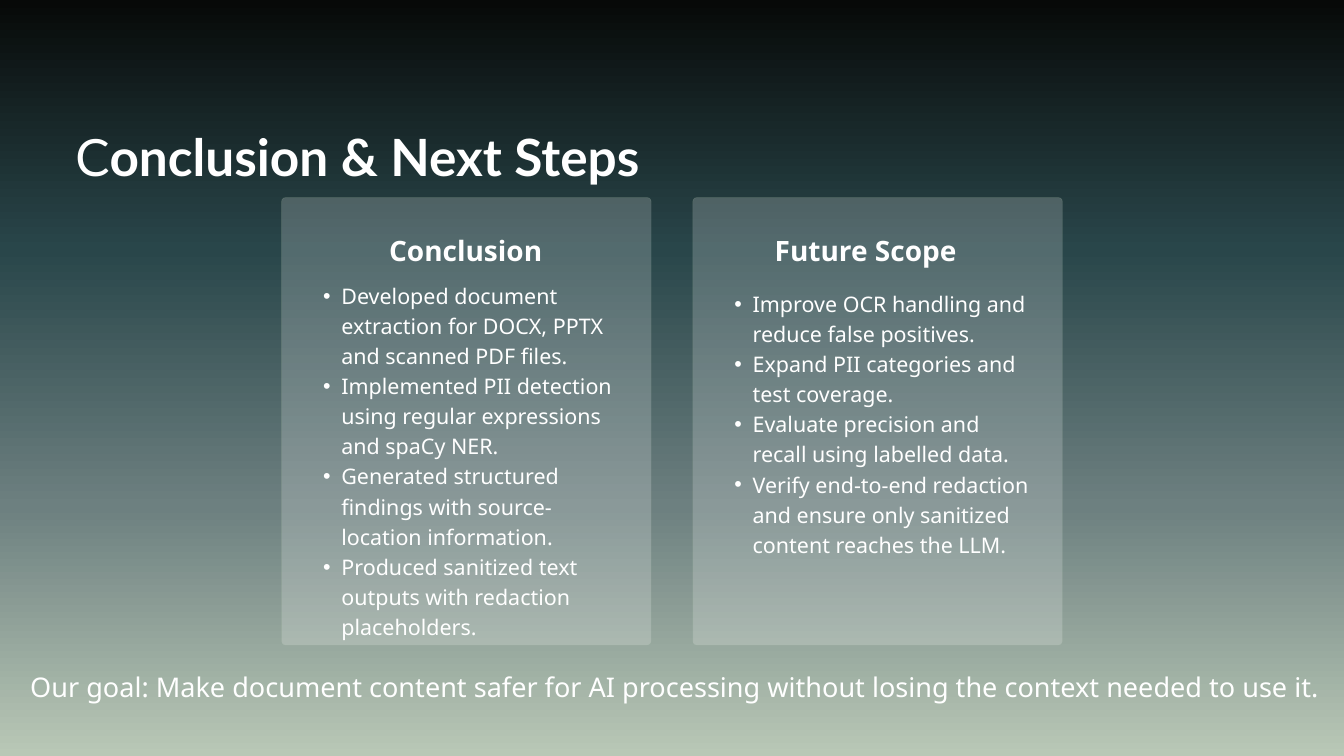
"""Build the closing slide: conclusion, future scope and goal."""
from lxml import etree
from pptx import Presentation
from pptx.dml.color import RGBColor
from pptx.enum.shapes import MSO_SHAPE
from pptx.enum.text import MSO_AUTO_SIZE, PP_ALIGN
from pptx.oxml.ns import qn
from pptx.util import Inches, Pt

ROUND = MSO_SHAPE.ROUNDED_RECTANGLE
GROW = MSO_AUTO_SIZE.SHAPE_TO_FIT_TEXT
LEFT, MID = PP_ALIGN.LEFT, PP_ALIGN.CENTER

HEX = {"text": "FFFFFF", "card": "FFFFFF", "edge": "9EB49F"}
FADE = [(0, "070908"), (33, "29464A"), (67, "6D8080"), (100, "B9C8B6")]
ALPHA = 20

TITLE = [("C", False), ("onclusion & Next Steps", True)]
GOAL = ("Our goal: Make document content safer for AI processing "
        "without losing the context needed to use it.")
CARDS = [
    {"head": "Conclusion", "shift": 0.34, "top": 4.15, "tall": 5.69, "list": [
        "Developed document extraction for DOCX, PPTX and scanned PDF files.",
        "Implemented PII detection using regular expressions and spaCy NER.",
        "Generated structured findings with source-location information.",
        "Produced sanitized text outputs with redaction placeholders."]},
    {"head": "Future Scope", "shift": 0.17, "top": 4.27, "tall": 4.81, "list": [
        "Improve OCR handling and reduce false positives.",
        "Expand PII categories and test coverage.",
        "Evaluate precision and recall using labelled data.",
        "Verify end-to-end redaction and ensure only sanitized content "
        "reaches the LLM."]},
]
CARD_X, CARD_Y, CARD_W, CARD_H, STEP = 4.19, 2.94, 5.5, 6.66, 6.12
LIST_DX, TEXT_W, CURVE = 0.35, 4.8, 0.06
INDENT, HANG = 0.54, 0.27

STYLES = {
    "title": {"font": {"name": "Lato", "size": Pt(55)},
              "para": {"line_spacing": Pt(77), "alignment": LEFT}},
    "head": {"font": {"name": "Noto Sans", "size": Pt(30)},
             "para": {"line_spacing": Pt(36), "alignment": MID}},
    "list": {"font": {"name": "Noto Sans", "size": Pt(23)},
             "para": {"line_spacing": Pt(32.2), "alignment": LEFT, "level": 1}},
    "goal": {"font": {"name": "Noto Sans", "size": Pt(29)},
             "para": {"line_spacing": Pt(40.6), "alignment": LEFT}},
}
FRAME = {"margin_left": 0, "margin_right": 0, "margin_top": 0,
         "margin_bottom": 0, "word_wrap": True, "auto_size": GROW}


def apply(item, values):
    """Set each named value on the item."""
    for name, value in values.items():
        setattr(item, name, value)


def paint(slide):
    """Fill the background with the vertical fade."""
    fill = slide.background.fill
    fill.gradient()
    fill.gradient_angle = 270
    stops = slide.element.find(".//" + qn("a:gsLst"))
    for stop in list(stops):
        stops.remove(stop)
    for spot, tone in FADE:
        stop = etree.SubElement(stops, qn("a:gs"), pos=str(spot * 1000))
        etree.SubElement(stop, qn("a:srgbClr"), val=tone)


def add_bullet(para):
    """Give the paragraph a hanging bullet."""
    props = para._p.get_or_add_pPr()
    props.set("marL", str(Inches(INDENT)))
    props.set("indent", str(-Inches(HANG)))
    etree.SubElement(props, qn("a:buFont"), typeface="Arial")
    etree.SubElement(props, qn("a:buChar"), char="•")


def add_text(slide, box, paras, kind):
    """Add a text box of paragraphs, each a list of (text, bold) runs."""
    frame = slide.shapes.add_textbox(*map(Inches, box)).text_frame
    apply(frame, FRAME)
    for i, runs in enumerate(paras):
        para = frame.add_paragraph() if i else frame.paragraphs[0]
        apply(para, STYLES[kind]["para"])
        if kind == "list":
            add_bullet(para)
        for text, bold in runs:
            run = para.add_run()
            run.text = text
            apply(run.font, {**STYLES[kind]["font"], "bold": bold})
            run.font.color.rgb = RGBColor.from_string(HEX["text"])


def add_card(slide, x):
    """Add one translucent rounded panel."""
    card = slide.shapes.add_shape(
        ROUND, *map(Inches, (x, CARD_Y, CARD_W, CARD_H)))
    card.shadow.inherit = False
    card.adjustments[0] = CURVE / CARD_W
    card.line.width = Pt(0.75)
    card.fill.solid()
    for fill, tone in ((card.fill, "card"), (card.line.fill, "edge")):
        fill.solid()
        fill.fore_color.rgb = RGBColor.from_string(HEX[tone])
    for tone in card.element.spPr.iter(qn("a:srgbClr")):
        etree.SubElement(tone, qn("a:alpha"), val=str(ALPHA * 1000))


def main():
    """Lay out the slide and save it."""
    deck = Presentation()
    deck.slide_width, deck.slide_height = Inches(20), Inches(11.25)
    slide = deck.slides.add_slide(deck.slide_layouts[6])
    paint(slide)
    add_text(slide, (1.12, 1.71, 17.75, 1.02), [TITLE], "title")
    for i, card in enumerate(CARDS):
        x = CARD_X + i * STEP
        add_card(slide, x)
        add_text(slide, (x + card["shift"], 3.47, TEXT_W, 0.5),
                 [[(card["head"], True)]], "head")
        add_text(slide, (x + LIST_DX, card["top"], TEXT_W, card["tall"]),
                 [[(line, False)] for line in card["list"]], "list")
    add_text(slide, (0.45, 9.89, 19.55, 1.12), [[(GOAL, False)]], "goal")
    deck.save("out.pptx")


if __name__ == "__main__":
    main()
